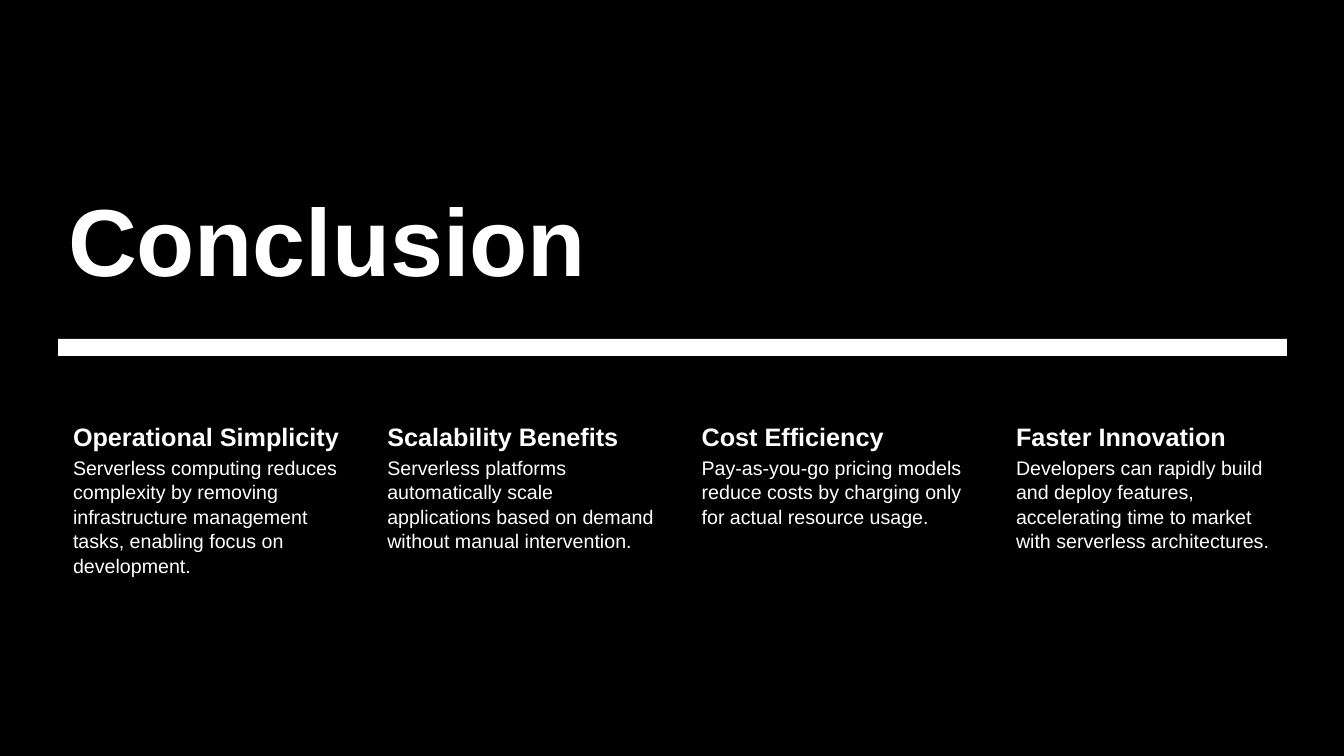
"""Build the Conclusion slide: a title, a divider and four takeaway columns."""
from pptx import Presentation, util as u
from pptx.dml.color import RGBColor
from pptx.enum import shapes, text

TITLE = "Conclusion"
TAKEAWAYS = [
    ("Operational Simplicity", "Serverless computing reduces complexity by removing "
     "infrastructure management tasks, enabling focus on development."),
    ("Scalability Benefits", "Serverless platforms automatically scale applications "
     "based on demand without manual intervention."),
    ("Cost Efficiency", "Pay-as-you-go pricing models reduce costs by charging only "
     "for actual resource usage."),
    ("Faster Innovation", "Developers can rapidly build and deploy features, "
     "accelerating time to market with serverless architectures."),
]
COLORS = {"background": "000000", "foreground": "FFFFFF"}
FONT = "Arial"
FORMATS = {
    "title": {"size": u.Pt(68), "bold": True},
    "heading": {"size": u.Pt(18), "bold": True},
    "body": {"size": u.Pt(14), "bold": False},
}
INSETS = {"title": (10, 5, 10, 5), "heading": (15, 3, 3, 3), "body": (15, 2, 2, 2)}
SIDES = ("left", "top", "right", "bottom")

PX = 914400 / 100.8
SLIDE_WIDTH, SLIDE_HEIGHT = 1344, 756
MARGIN, CONTENT_WIDTH = 58, 1229
TITLE_TOP, TITLE_HEIGHT = 146, 155
DIVIDER_TOP, DIVIDER_HEIGHT = 339, 17
HEADING_TOP, HEADING_HEIGHT, BODY_HEIGHT = 417, 36, 231
COLUMN_WIDTH = 286
COLUMN_STEP = (CONTENT_WIDTH - COLUMN_WIDTH) / (len(TAKEAWAYS) - 1)


def emu(*lengths):
    return [u.Emu(round(length * PX)) for length in lengths]


def color(name):
    return RGBColor.from_string(COLORS[name])


def add_text(slide, content, style, box, anchor=text.MSO_ANCHOR.TOP, spacing=1.04):
    frame = slide.shapes.add_textbox(*emu(*box)).text_frame
    frame.word_wrap = True
    frame.vertical_anchor = anchor
    for side, inset in zip(SIDES, emu(*INSETS[style])):
        setattr(frame, f"margin_{side}", inset)
    paragraph = frame.paragraphs[0]
    paragraph.line_spacing = spacing
    run = paragraph.add_run()
    run.text = content
    for attribute, value in {"name": FONT, **FORMATS[style]}.items():
        setattr(run.font, attribute, value)
    run.font.color.rgb = color("foreground")


def main():
    presentation = Presentation()
    presentation.slide_width, presentation.slide_height = emu(SLIDE_WIDTH, SLIDE_HEIGHT)
    slide = presentation.slides.add_slide(presentation.slide_layouts[6])
    slide.background.fill.solid()
    slide.background.fill.fore_color.rgb = color("background")

    panels = [
        ((0, 0, SLIDE_WIDTH, SLIDE_HEIGHT), "background"),
        ((MARGIN, DIVIDER_TOP, CONTENT_WIDTH, DIVIDER_HEIGHT), "foreground"),
    ]
    for box, fill in panels:
        shape = slide.shapes.add_shape(shapes.MSO_SHAPE.RECTANGLE, *emu(*box))
        shape.shadow.inherit = False
        shape.fill.solid()
        shape.fill.fore_color.rgb = color(fill)
        shape.line.fill.background()

    add_text(slide, TITLE, "title", (MARGIN, TITLE_TOP, CONTENT_WIDTH, TITLE_HEIGHT),
             text.MSO_ANCHOR.BOTTOM, 1.0)
    for index, (heading, body) in enumerate(TAKEAWAYS):
        left = MARGIN + index * COLUMN_STEP
        add_text(slide, heading, "heading", (left, HEADING_TOP, COLUMN_WIDTH, HEADING_HEIGHT))
        add_text(slide, body, "body",
                 (left, HEADING_TOP + HEADING_HEIGHT, COLUMN_WIDTH, BODY_HEIGHT))
    presentation.save("out.pptx")


if __name__ == "__main__":
    main()
